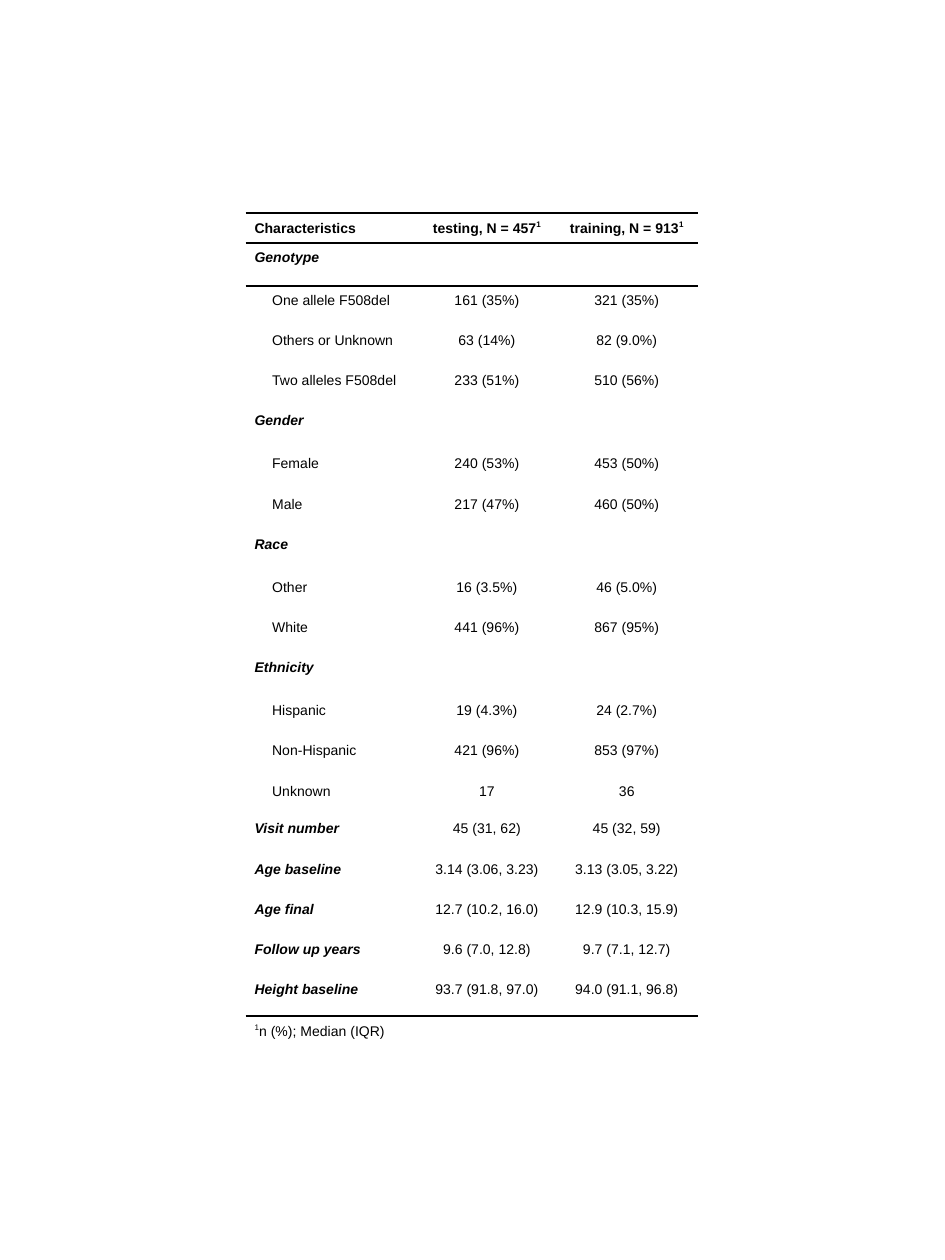
from lxml.etree import SubElement
from pptx import Presentation
from pptx.dml.color import RGBColor
from pptx.enum.text import MSO_ANCHOR as Anchor, PP_ALIGN as Align
from pptx.oxml.ns import qn
from pptx.util import Inches, Pt

SLIDE_SIZE = 7.5, 10
TABLE_ORIGIN = 1.95, 1.69
COLUMN_WIDTHS = 1.37, 1.09, 1.13
ROW_HEIGHTS = {"header": 0.24, "section": 0.34, "level": 0.32,
               "missing": 0.3, "measure": 0.32, "footnote": 0.24}
INDENT, LEVEL_INDENT = 0.07, 0.21
PLAIN_STYLE = "{2D5ABB26-0587-4C30-8999-92F81FD0307C}"
INK = "000000"
BASE_FONT = {"name": "Arial", "size": Pt(8)}
LABEL_FONTS = {"header": {"bold": True},
               "section": {"bold": True, "italic": True},
               "measure": {"bold": True, "italic": True}}

CHARACTERISTICS = [
    ("header", "Characteristics", "testing, N = 457", "training, N = 913"),
    ("section", "Genotype", "", ""),
    ("level", "One allele F508del", "161 (35%)", "321 (35%)"),
    ("level", "Others or Unknown", "63 (14%)", "82 (9.0%)"),
    ("level", "Two alleles F508del", "233 (51%)", "510 (56%)"),
    ("section", "Gender", "", ""),
    ("level", "Female", "240 (53%)", "453 (50%)"),
    ("level", "Male", "217 (47%)", "460 (50%)"),
    ("section", "Race", "", ""),
    ("level", "Other", "16 (3.5%)", "46 (5.0%)"),
    ("level", "White", "441 (96%)", "867 (95%)"),
    ("section", "Ethnicity", "", ""),
    ("level", "Hispanic", "19 (4.3%)", "24 (2.7%)"),
    ("level", "Non-Hispanic", "421 (96%)", "853 (97%)"),
    ("missing", "Unknown", "17", "36"),
    ("measure", "Visit number", "45 (31, 62)", "45 (32, 59)"),
    ("measure", "Age baseline", "3.14 (3.06, 3.23)", "3.13 (3.05, 3.22)"),
    ("measure", "Age final", "12.7 (10.2, 16.0)", "12.9 (10.3, 15.9)"),
    ("measure", "Follow up years", "9.6 (7.0, 12.8)", "9.7 (7.1, 12.7)"),
    ("measure", "Height baseline", "93.7 (91.8, 97.0)", "94.0 (91.1, 96.8)"),
    ("footnote", "n (%); Median (IQR)", "", ""),
]


def color(hex_value):
    return RGBColor.from_string(hex_value)


def apply(target, values):
    for name, value in values.items():
        setattr(target, name, value)


def add_text(paragraph, wording, font, raised=False):
    run = paragraph.add_run()
    run.text = wording
    apply(run.font, {**BASE_FONT, **font})
    run.font.color.rgb = color(INK)
    if raised:
        run._r.get_or_add_rPr().set("baseline", "40000")


def add_rule(cell, side):
    rule = SubElement(cell._tc.get_or_add_tcPr(), qn(f"a:ln{side}"), w=str(Pt(1)))
    SubElement(SubElement(rule, qn("a:solidFill")), qn("a:srgbClr"), val=INK)


def format_paragraph(paragraph, kind, column):
    spacing = Pt(2 if kind == "header" else 5)
    apply(paragraph, {"alignment": Align.CENTER if column else Align.LEFT,
                      "space_before": spacing, "space_after": spacing})
    is_level = column == 0 and kind in ("level", "missing")
    indents = {"marL": LEVEL_INDENT if is_level else INDENT, "marR": INDENT}
    for side, indent in indents.items():
        paragraph._p.get_or_add_pPr().set(side, str(Inches(indent)))


def fill_cell(cell, kind, column, wording):
    padding = Inches(0.02 if kind == "header" else 0.05)
    centred = kind in ("header", "footnote")
    apply(cell, {"margin_left": 0, "margin_right": 0,
                 "margin_top": padding, "margin_bottom": padding,
                 "vertical_anchor": Anchor.MIDDLE if centred else Anchor.TOP})
    paragraph = cell.text_frame.paragraphs[0]
    format_paragraph(paragraph, kind, column)
    if not wording:
        SubElement(paragraph._p, qn("a:endParaRPr"), sz="800")
        return
    font = LABEL_FONTS.get(kind, {}) if column == 0 or kind == "header" else {}
    if kind == "footnote":
        add_text(paragraph, "1", font, raised=True)
    add_text(paragraph, wording, font)
    if kind == "header" and column:
        add_text(paragraph, "1", font, raised=True)


def add_summary_table(slide):
    heights = [Inches(ROW_HEIGHTS[kind]) for kind, *_ in CHARACTERISTICS]
    widths = [Inches(width) for width in COLUMN_WIDTHS]
    frame = slide.shapes.add_table(len(heights), len(widths),
                                   *map(Inches, TABLE_ORIGIN), sum(widths), sum(heights))
    table = frame.table
    apply(table, {"first_row": False, "horz_banding": False})
    table._tbl.tblPr.find(qn("a:tableStyleId")).text = PLAIN_STYLE
    for column, width in zip(table.columns, widths):
        column.width = width
    last = len(heights) - 1
    for index, (kind, *wordings) in enumerate(CHARACTERISTICS):
        table.rows[index].height = heights[index]
        for column, wording in enumerate(wordings):
            cell = table.cell(index, column)
            fill_cell(cell, kind, column, wording)
            if index in (0, 1, last):
                add_rule(cell, "T")
            if index in (0, last - 1):
                add_rule(cell, "B")
            cell.fill.background()
    table.cell(last, 0).merge(table.cell(last, len(widths) - 1))


def main():
    deck = Presentation()
    deck.slide_width, deck.slide_height = map(Inches, SLIDE_SIZE)
    add_summary_table(deck.slides.add_slide(deck.slide_layouts[6]))
    deck.save("out.pptx")


if __name__ == "__main__":
    main()
